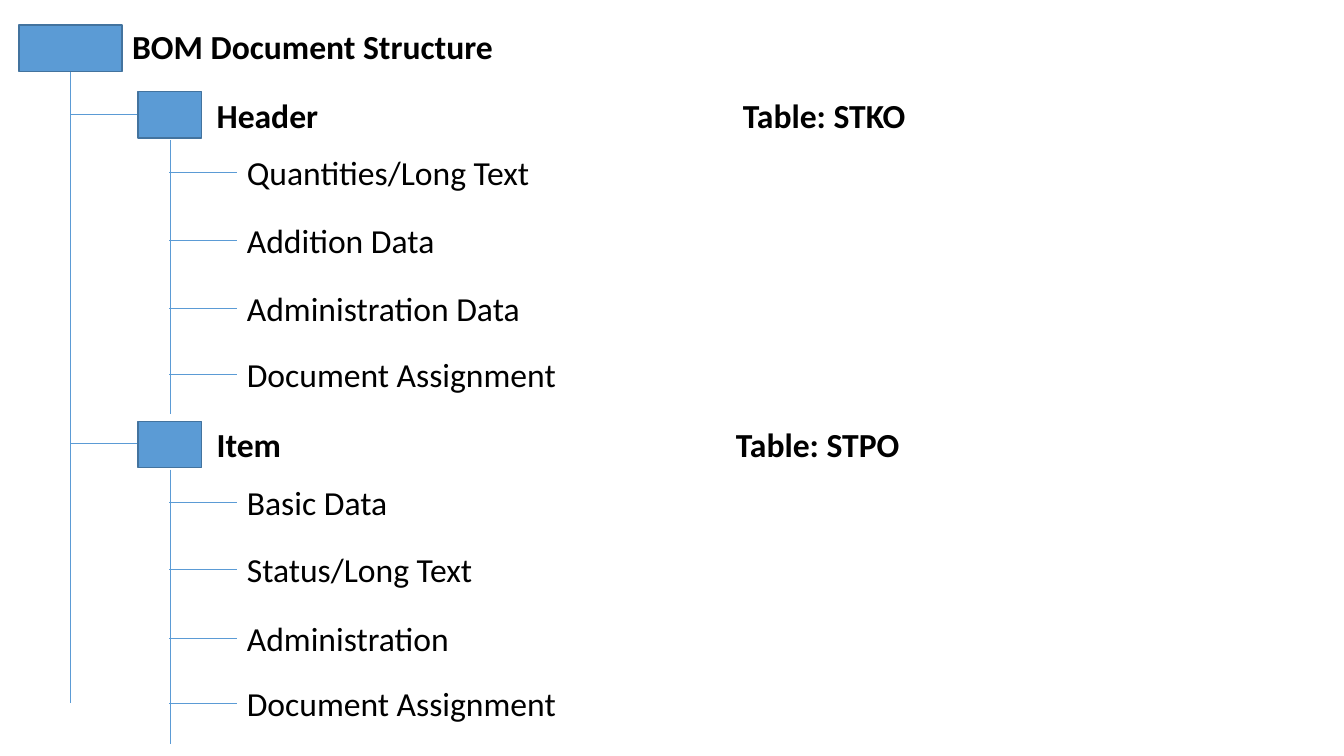
import pptx
import pptx.dml.color
import pptx.enum.shapes
import pptx.enum.text
import pptx.oxml
import pptx.oxml.ns
import pptx.util
from pptx.util import Inches

THEME = {
    "node": pptx.dml.color.RGBColor.from_string("5B9BD5"),
    "node_edge": pptx.dml.color.RGBColor.from_string("43739E"),
    "text": pptx.dml.color.RGBColor.from_string("000000"),
    "font": "Calibri",
    "size": pptx.util.Pt(24),
    "edge_width": pptx.util.Pt(1),
    "branch_width": pptx.util.Pt(0.5),
}

# Tree content: name, table, tab position, box width, leaves with box widths
SECTIONS = [
    ("Header", "Table: STKO", 5.22, 7.07,
     [("Quantities/Long Text", 3.03), ("Addition Data", 2.08),
      ("Administration Data", 2.93), ("Document Assignment", 3.3)]),
    ("Item", "Table: STPO", 5.15, 7.08,
     [("Basic Data", 1.61), ("Status/Long Text", 2.46),
      ("Administration", 2.23), ("Document Assignment", 3.3)]),
]
SECTION_TOP, SECTION_STEP = 0.91, 3.27
LEAF_OFFSETS = [0.55, 1.22, 1.9, 2.55]
LABEL_HEIGHT, NODE_HEIGHT = 0.5, 0.46
TRUNK_X, SECTION_X, STEM_X, LEAF_X = 0.7, 1.37, 1.69, 2.35

deck = pptx.Presentation()
deck.slide_width, deck.slide_height = Inches(13.33), Inches(7.5)
page = deck.slides.add_slide(deck.slide_layouts[5])


def write_label(box, left, top, width, text, bold, tab=None):
    box.left, box.top = Inches(left), Inches(top)
    box.width, box.height = Inches(width), Inches(LABEL_HEIGHT)
    frame = box.text_frame
    frame_format = {"word_wrap": True,
                    "auto_size": pptx.enum.text.MSO_AUTO_SIZE.NONE,
                    "vertical_anchor": pptx.enum.text.MSO_ANCHOR.TOP}
    for name, value in frame_format.items():
        setattr(frame, name, value)
    para = frame.paragraphs[0]
    para.alignment = pptx.enum.text.PP_ALIGN.LEFT
    if tab:
        para._p.get_or_add_pPr().append(pptx.oxml.parse_xml(
            f'<a:tabLst {pptx.oxml.ns.nsdecls("a")}>'
            f'<a:tab pos="{Inches(tab)}" algn="l"/></a:tabLst>'))
    span = para.add_run()
    span.text = text
    span.font.color.rgb = THEME["text"]
    font_format = {"name": THEME["font"], "size": THEME["size"], "bold": bold}
    for name, value in font_format.items():
        setattr(span.font, name, value)


# Title
write_label(page.shapes.title, 1.21, 0.21, 3.82, "BOM Document Structure", True)

# Section labels and leaves, gathering the nodes and branches on the way
nodes = [(0.19, 0.25, 1.02)]
branches = [(TRUNK_X, 0.71, TRUNK_X, 6.97)]
for index, (name, table, tab, width, leaves) in enumerate(SECTIONS):
    top = SECTION_TOP + index * SECTION_STEP
    nodes.append((SECTION_X, top, 0.63))
    branches.append((TRUNK_X, top + 0.22, SECTION_X, top + 0.22))
    branches.append((STEM_X, top + 0.48, STEM_X, top + 3.2))
    box = page.shapes.add_textbox(0, 0, 0, 0)
    write_label(box, 2.05, top - 0.02, width, f"{name}\t{table}", True, tab)
    for offset, (leaf, leaf_width) in zip(LEAF_OFFSETS, leaves):
        leaf_top = top + offset
        branches.append((STEM_X - 0.01, leaf_top + 0.25, LEAF_X, leaf_top + 0.25))
        box = page.shapes.add_textbox(0, 0, 0, 0)
        write_label(box, LEAF_X, leaf_top, leaf_width, leaf, False)

# Branch lines
for ends in branches:
    branch = page.shapes.add_connector(
        pptx.enum.shapes.MSO_CONNECTOR.STRAIGHT, *map(Inches, ends))
    branch.line.color.rgb = THEME["node"]
    branch.line.width = THEME["branch_width"]
    branch._element.spPr.append(pptx.oxml.parse_xml(
        f'<a:effectLst {pptx.oxml.ns.nsdecls("a")}/>'))

# Node boxes
for left, top, width in nodes:
    node = page.shapes.add_shape(
        pptx.enum.shapes.MSO_SHAPE.RECTANGLE,
        Inches(left), Inches(top), Inches(width), Inches(NODE_HEIGHT))
    node.shadow.inherit = False
    node.fill.solid()
    node.fill.fore_color.rgb = THEME["node"]
    node.line.color.rgb = THEME["node_edge"]
    node.line.width = THEME["edge_width"]

deck.save("out.pptx")
